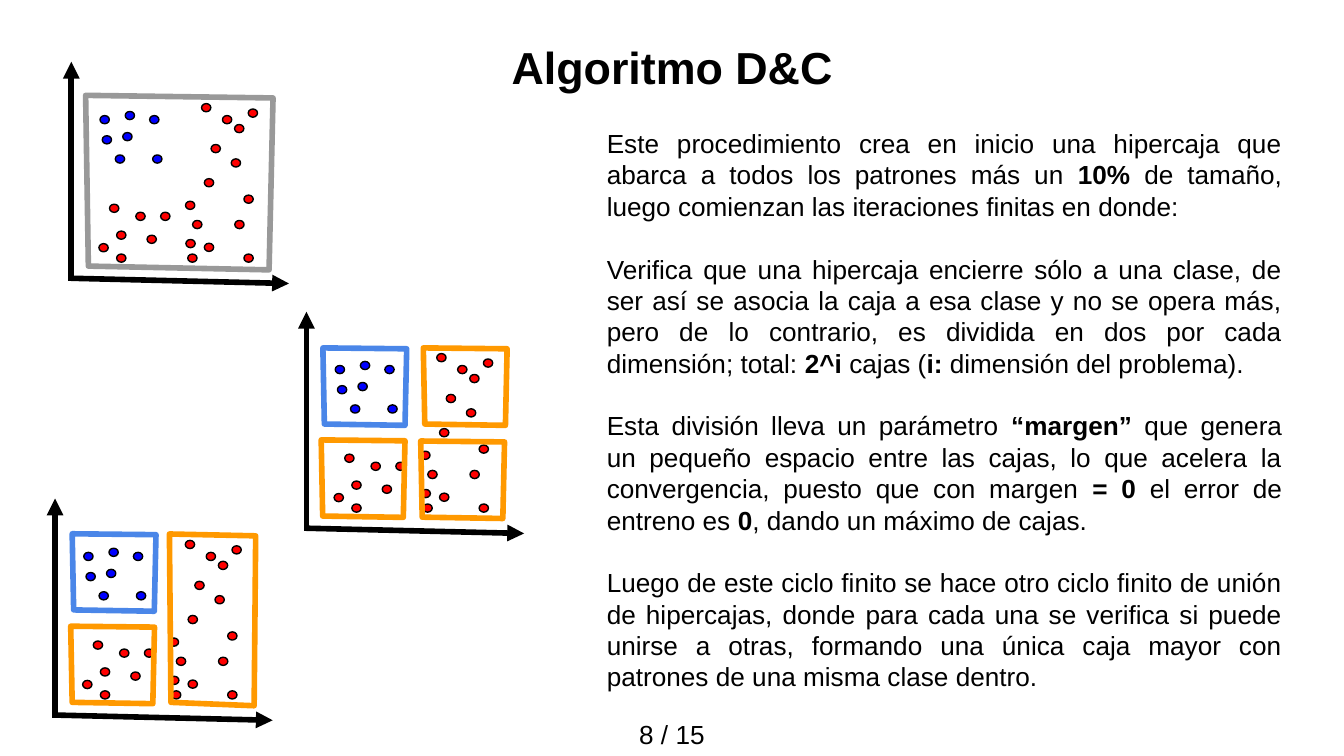
from lxml import etree
from pptx import Presentation
from pptx.dml.color import RGBColor
from pptx.enum.shapes import MSO_CONNECTOR, MSO_SHAPE
from pptx.enum.text import MSO_ANCHOR, PP_ALIGN
from pptx.oxml.ns import qn
from pptx.util import Pt

STRAIGHT, OVAL = MSO_CONNECTOR.STRAIGHT, MSO_SHAPE.OVAL
MIDDLE = MSO_ANCHOR.MIDDLE
CENTER, JUSTIFY = PP_ALIGN.CENTER, PP_ALIGN.JUSTIFY

COLORS = {"black": "000000", "red": "FF0000", "blue": "0000FF",
          "gray": "999999", "orange": "FF9900", "sky": "4A86E8"}
FONT = "Arial"

TITLE = "Algoritmo D&C"
PAGE = "8 / 15"
# Each paragraph alternates regular and bold pieces, starting with regular.
BODY = [
    ["Este procedimiento crea en inicio una hipercaja que abarca a todos los "
     "patrones más un ", "10% ",
     "de tamaño, luego comienzan las iteraciones finitas en donde:"],
    ["Verifica que una hipercaja encierre sólo a una clase, de ser así se asocia "
     "la caja a esa clase y no se opera más, pero de lo contrario, es dividida "
     "en dos por cada dimensión; total: ", "2^i ", "cajas (", "i: ",
     "dimensión del problema)."],
    ["Esta división lleva un parámetro ", "“margen”",
     " que genera un pequeño espacio entre las cajas, lo que acelera la "
     "convergencia, puesto que con margen", " = 0", " el error de entreno es ",
     "0", ", dando un máximo de cajas."],
    ["Luego de este ciclo finito se hace otro ciclo finito de unión de hipercajas, "
     "donde para cada una se verifica si puede unirse a otras, formando una única "
     "caja mayor con patrones de una misma clase dentro."],
]

# Dots, axes and boxes are measured from the tip of each plot's vertical axis.
DOT_SIZE = (5, 4.4)
DOTS = {
    "red": [(14.8, 97.4), (24.3, 103), (24.3, 90.7), (40.6, 92.9), (61.2, 74.7),
            (20.5, 76.3), (34.6, 80.6), (47.9, 80.6), (65, 85), (71.3, 97.2),
            (62.4, 103), (61.4, 95.2), (71.3, 62.6), (92.5, 103), (87.6, 85),
            (92.5, 71.4), (85.7, 52), (94.8, 25.3), (69.8, 22.4), (81, 28.8),
            (87.5, 33.6), (74.9, 44.3)],
    "blue": [(15.4, 28.8), (16.6, 39.6), (27.6, 37.9), (43.6, 49.9),
             (23.6, 49.9), (42, 28.8), (28.9, 26.6)],
}
AXES = [((0, 117.4), (0, 0)), ((0, 116), (116.6, 118.8))]
OUTLINES = {
    "whole": [(0, 0), (1.5, 91.5), (98.3, 93.5), (100.4, 1.4)],
    "tall": [(0, 0), (0.8, 90.2), (45.4, 92), (46.2, 1)],
    "quarter": [(0, 0), (0.8, 40.8), (44, 41.5), (44.9, 0.5)],
}
PLOTS = [  # axis tip, boxes as (outline, color, left, top)
    ((38.2, 33.1), [("whole", "gray", 7.7, 18)]),
    ((164.2, 167), [("quarter", "orange", 62.6, 19.4), ("quarter", "sky", 8.8, 19.4),
                    ("quarter", "orange", 7.9, 68.7),
                    ("quarter", "orange", 61.2, 69.3)]),
    ((29.5, 267.1), [("tall", "orange", 61.3, 19), ("quarter", "sky", 9.2, 18.9),
                     ("quarter", "orange", 8.4, 68.4)]),
]


def rgb(name):
    return RGBColor.from_string(COLORS[name])


def set_line(sp, color, width):
    sp.line.color.rgb = rgb(color)
    sp.line.width = Pt(width)


def add_text(slide, box, paragraphs, size, align, bold=False, leading=None):
    """Add a text box; every second piece of a paragraph is bold."""
    tf = slide.shapes.add_textbox(*map(Pt, box)).text_frame
    tf.word_wrap = True
    tf.vertical_anchor = MIDDLE
    tf.margin_left = tf.margin_right = tf.margin_top = tf.margin_bottom = Pt(7.2)
    for i, pieces in enumerate(paragraphs):
        p = tf.add_paragraph() if i else tf.paragraphs[0]
        p.alignment = align
        p.font.name, p.font.size, p.font.bold = FONT, Pt(size), bold
        p.font.color.rgb = rgb("black")
        if leading:
            p.line_spacing = Pt(leading)
            p.space_before = Pt(leading if i else 0)
        for j, piece in enumerate(pieces):
            r = p.add_run()
            r.text = piece
            if j % 2:
                r.font.bold = True


def add_axis(shapes, start, end):
    sp = shapes.add_connector(STRAIGHT, *map(Pt, start + end))
    set_line(sp, "black", 3)
    etree.SubElement(sp.line._get_or_add_ln(), qn("a:tailEnd"), type="triangle")
    etree.SubElement(sp._element.spPr, qn("a:effectLst"))


def add_dot(shapes, x, y, color):
    sp = shapes.add_shape(OVAL, *map(Pt, (x, y) + DOT_SIZE))
    sp.shadow.inherit = False
    sp.fill.solid()
    sp.fill.fore_color.rgb = rgb(color)
    set_line(sp, "black", 0.75)


def add_box(shapes, points, color):
    first, *rest = [(Pt(x), Pt(y)) for x, y in points]
    builder = shapes.build_freeform(*first)
    builder.add_line_segments(rest)
    sp = builder.convert_to_shape()
    sp.shadow.inherit = False
    sp.fill.background()
    set_line(sp, color, 3)


def add_plot(slide, origin, boxes):
    def place(x, y):
        return origin[0] + x, origin[1] + y

    shapes = slide.shapes.add_group_shape().shapes
    for start, end in AXES:
        add_axis(shapes, place(*start), place(*end))
    for color, dots in DOTS.items():
        for dot in dots:
            add_dot(shapes, *place(*dot), color)
    for outline, color, left, top in boxes:
        points = [place(left + x, top + y) for x, y in OUTLINES[outline]]
        add_box(shapes, points, color)


def main():
    prs = Presentation()
    prs.slide_width, prs.slide_height = Pt(720), Pt(405)
    slide = prs.slides.add_slide(prs.slide_layouts[6])
    add_text(slide, (139, 16, 442, 39), [[TITLE]], 24, CENTER, bold=True)
    add_text(slide, (318, 381, 84, 24), [[PAGE]], 14, CENTER)
    add_text(slide, (318, 72, 376, 295), BODY, 14, JUSTIFY, leading=16.8)
    for origin, boxes in PLOTS:
        add_plot(slide, origin, boxes)
    prs.save("out.pptx")


if __name__ == "__main__":
    main()
